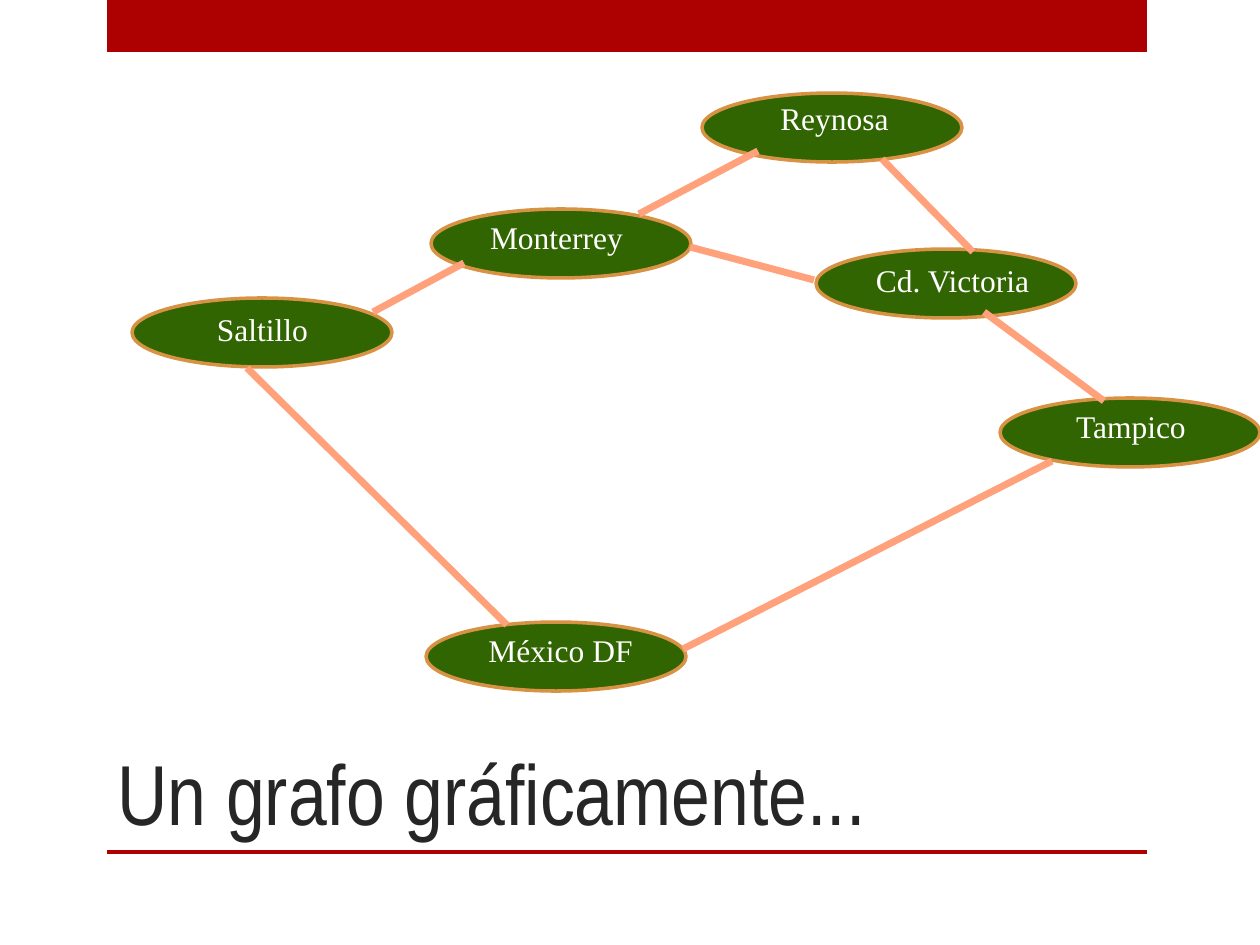
from typing import NamedTuple

import pptx
import pptx.dml.color
import pptx.enum.shapes
import pptx.enum.text
import pptx.util
from lxml import etree

RGBColor = pptx.dml.color.RGBColor
RED = RGBColor(0xAD, 0x01, 0x01)
GREEN = RGBColor(0x31, 0x65, 0x01)
ORANGE = RGBColor(0xD8, 0x92, 0x43)
SALMON = RGBColor(0xFF, 0xA2, 0x7C)
WHITE = RGBColor(0xFF, 0xFF, 0xFF)
DARK = RGBColor(0x26, 0x26, 0x26)

EMU_PER_PIXEL = 914400 / 126
CITY_WIDTH, CITY_HEIGHT = 260, 69
LABEL_HEIGHT = 50
DRAWING_NAMESPACE = "http://schemas.openxmlformats.org/drawingml/2006/main"


class City(NamedTuple):
    """An oval node and the box of its label, in pixels."""
    name: str
    left: int
    top: int
    label_left: int
    label_top: int
    label_width: int


class Road(NamedTuple):
    """An edge between two cities, in pixels."""
    start_x: int
    start_y: int
    end_x: int
    end_y: int


CITIES = [
    City("Monterrey", 431, 209, 476, 212, 161),
    City("Saltillo", 132, 298, 204, 304, 117),
    City("México DF", 426, 622, 475, 625, 171),
    City("Reynosa", 702, 93, 767, 93, 135),
    City("Cd. Victoria", 816, 249, 862, 255, 181),
    City("Tampico", 1000, 398, 1063, 401, 136),
]
ROADS = [
    Road(373, 312, 464, 263),    # Saltillo - Monterrey
    Road(683, 649, 1052, 461),   # México DF - Tampico
    Road(247, 368, 507, 625),    # Saltillo - México DF
    Road(639, 214, 758, 151),    # Monterrey - Reynosa
    Road(973, 252, 882, 159),    # Cd. Victoria - Reynosa
    Road(1104, 401, 984, 312),   # Tampico - Cd. Victoria
    Road(814, 280, 690, 247),    # Cd. Victoria - Monterrey
]


def px(pixels: int) -> pptx.util.Emu:
    """Turn pixels into EMU."""
    return pptx.util.Emu(round(pixels * EMU_PER_PIXEL))


def box(left: int, top: int, width: int, height: int) -> list[pptx.util.Emu]:
    """Turn a pixel box into EMU lengths."""
    return [px(length) for length in (left, top, width, height)]


def format_text(text_frame, font_name: str, size: float, color: RGBColor) -> None:
    """Set the font of every run."""
    for paragraph in text_frame.paragraphs:
        for run in paragraph.runs:
            run.font.name = font_name
            run.font.size = pptx.util.Pt(size)
            run.font.color.rgb = color


def add_bar(slide, top: int, height: int) -> None:
    """Draw a red bar across the content width."""
    shape = slide.shapes.add_shape(
        pptx.enum.shapes.MSO_SHAPE.RECTANGLE, *box(107, top, 1040, height))
    shape.shadow.inherit = False
    shape.fill.solid()
    shape.fill.fore_color.rgb = RED
    shape.line.fill.background()


def set_title(slide, text: str) -> None:
    """Fill and place the title placeholder."""
    title = slide.shapes.title
    title.left, title.top, title.width, title.height = box(105, 630, 935, 220)
    text_frame = title.text_frame
    text_frame.text = text
    text_frame.word_wrap = True
    text_frame.auto_size = pptx.enum.text.MSO_AUTO_SIZE.NONE
    text_frame.vertical_anchor = pptx.enum.text.MSO_ANCHOR.BOTTOM
    text_frame.paragraphs[0].alignment = pptx.enum.text.PP_ALIGN.LEFT
    text_frame.paragraphs[0].line_spacing = 0.9
    format_text(text_frame, "Arial Narrow", 48.6, DARK)


def add_oval(slide, city: City) -> None:
    """Draw the oval of a city."""
    shape = slide.shapes.add_shape(
        pptx.enum.shapes.MSO_SHAPE.OVAL,
        *box(city.left, city.top, CITY_WIDTH, CITY_HEIGHT))
    shape.shadow.inherit = False
    shape.fill.solid()
    shape.fill.fore_color.rgb = GREEN
    shape.line.color.rgb = ORANGE
    shape.line.width = pptx.util.Pt(2)


def add_label(slide, city: City) -> None:
    """Write the name of a city."""
    shape = slide.shapes.add_textbox(
        *box(city.label_left, city.label_top, city.label_width, LABEL_HEIGHT))
    text_frame = shape.text_frame
    text_frame.text = city.name
    text_frame.word_wrap = False
    text_frame.auto_size = pptx.enum.text.MSO_AUTO_SIZE.SHAPE_TO_FIT_TEXT
    text_frame.paragraphs[0].alignment = pptx.enum.text.PP_ALIGN.CENTER
    format_text(text_frame, "Times New Roman", 18, WHITE)


def add_road(slide, road: Road) -> None:
    """Draw the line between two cities."""
    connector = slide.shapes.add_connector(
        pptx.enum.shapes.MSO_CONNECTOR.STRAIGHT, *[px(length) for length in road])
    connector.line.color.rgb = SALMON
    connector.line.width = pptx.util.Pt(4)
    etree.SubElement(connector.element.spPr, f"{{{DRAWING_NAMESPACE}}}effectLst")


def main() -> None:
    """Build and save the slide."""
    presentation = pptx.Presentation()
    presentation.slide_width, presentation.slide_height = px(1260), px(945)
    slide = presentation.slides.add_slide(presentation.slide_layouts[5])
    add_bar(slide, 0, 52)
    add_bar(slide, 850, 4)
    set_title(slide, "Un grafo gráficamente...")
    for city in CITIES:
        add_oval(slide, city)
    for city in CITIES:
        add_label(slide, city)
    for road in ROADS:
        add_road(slide, road)
    presentation.save("out.pptx")


main()
